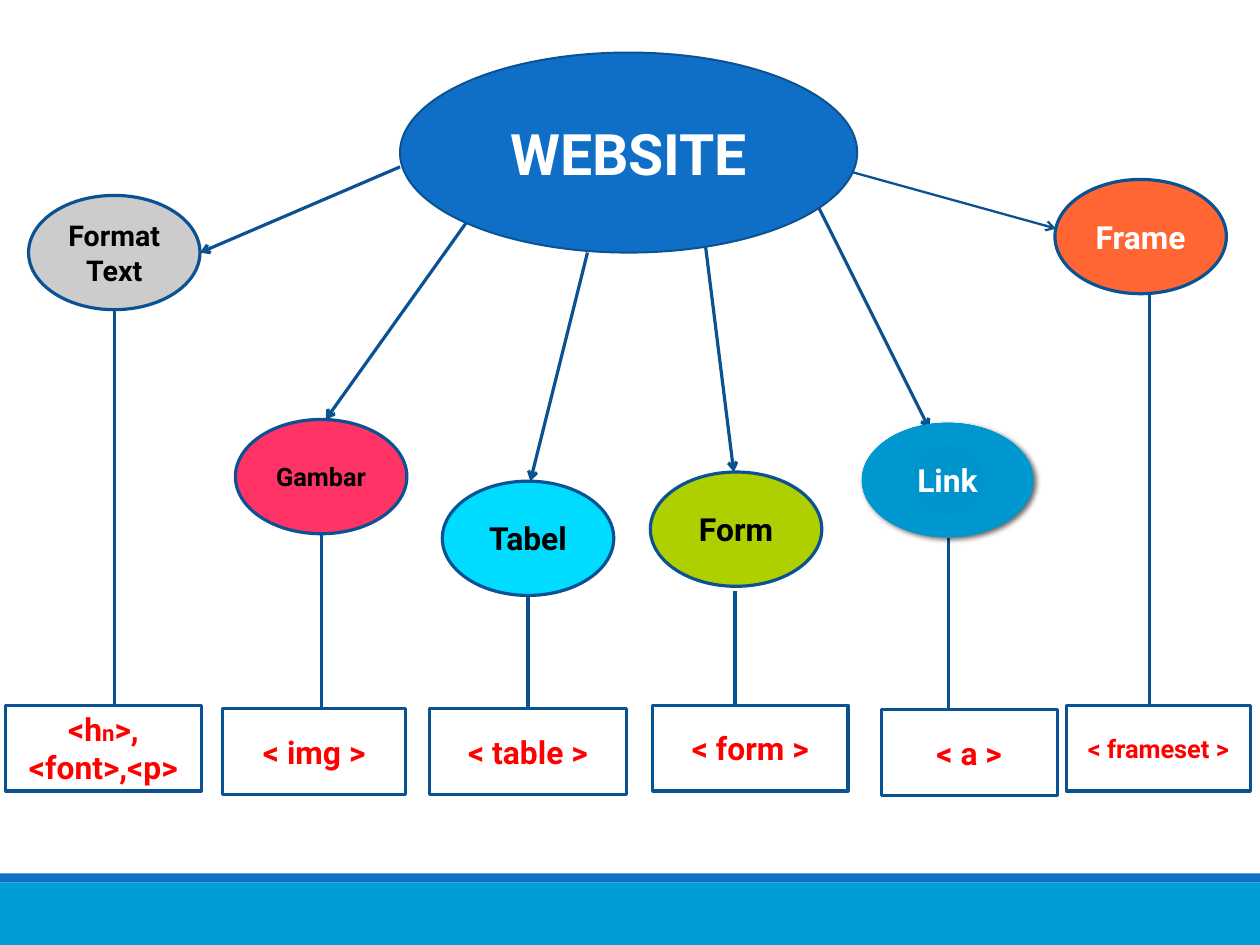
from collections import namedtuple

from lxml.etree import SubElement
from pptx import Presentation
from pptx.dml.color import RGBColor
from pptx.enum.shapes import MSO_CONNECTOR, MSO_SHAPE
from pptx.enum.text import MSO_ANCHOR, PP_ALIGN
from pptx.oxml import parse_xml
from pptx.oxml.ns import nsdecls, qn
from pptx.util import Cm, Inches, Pt

CELL = 0.25
COLS = 44.09
OVAL_W, OVAL_H, BOX_H = 6, 4, 3
FONT = "Roboto"
NAVY, BLUE, SKY = "0B5292", "0F6FC6", "009DD9"
WHITE, BLACK, RED = "FFFFFF", "000000", "FF0000"
LINK_STOPS = [(0, "0092CA"), (34, "0094CC"), (70, "0096CF"), (100, SKY)]

Branch = namedtuple(
    "Branch", "name size ink fill oval start end arrow_pt stem tag tag_size box")

BRANCHES = [
    Branch("Format\nText", 18, BLACK, "CCCCCC", (1, 6.84), (14, 5.84), (7, 8.84), 2,
           (4, 10.84), "<h|n|>,\n<font>,<p>", 20, (0.2, 24.68, 6.84)),
    Branch("Gambar", 16, BLACK, "FF3366", (8.24, 14.68), (16.4, 7.68), (11.4, 14.68), 2,
           (11.24, 18.68), "< img >", 20, (7.8, 24.8, 6.4)),
    Branch("Tabel", 20, BLACK, "00DCFF", (15.48, 16.84), (20.56, 8.84), (18.56, 16.84), 2,
           (18.48, 20.68), "< table >", 20, (15.04, 24.8, 6.88)),
    Branch("Form", 20, BLACK, "AECF00", (22.76, 16.52), (24.68, 8.52), (25.68, 16.52), 2,
           (25.72, 20.68), "< form >", 20, (22.84, 24.68, 6.84)),
    Branch("Link", 20, WHITE, None, (30.16, 14.8), (28.52, 7), (32.52, 15), 2,
           (33.2, 18.84), "< a >", 20, (30.84, 24.84, 6.16)),
    Branch("Frame", 20, WHITE, "FF6633", (36.92, 6.28), (29.16, 5.84), (36.96, 8), 1.45,
           (40.24, 9.68), "< frameset >", 16, (37.32, 24.68, 6.44)),
]


def rgb(color):
    return RGBColor.from_string(color)


def cells(*counts):
    return [Inches(n * CELL) for n in counts]


def write(sp, text, size=20, color=BLACK, small_size=14, inset=0):
    tf = sp.text_frame
    tf.word_wrap = True
    tf.vertical_anchor = MSO_ANCHOR.MIDDLE
    tf.margin_left = tf.margin_right = Inches(inset)
    tf.margin_top = tf.margin_bottom = Inches(inset / 2)
    for i, row in enumerate(text.split("\n")):
        p = tf.add_paragraph() if i else tf.paragraphs[0]
        p.alignment = PP_ALIGN.CENTER
        for j, part in enumerate(row.split("|")):
            r = p.add_run()
            r.text = part
            r.font.name = FONT
            r.font.bold = True
            r.font.size = Pt(small_size if j % 2 else size)
            r.font.color.rgb = rgb(color)


def add_block(s, kind, place, fill, line=None, width=2):
    sp = s.shapes.add_shape(kind, *cells(*place))
    sp.shadow.inherit = False
    sp.fill.solid()
    sp.fill.fore_color.rgb = rgb(fill)
    if line:
        sp.line.color.rgb = rgb(line)
        sp.line.width = Pt(width)
    else:
        sp.line.fill.background()
    return sp


def add_line(s, start, end, width=2, arrow=False):
    cx = s.shapes.add_connector(MSO_CONNECTOR.STRAIGHT, *cells(*start, *end))
    cx.line.color.rgb = rgb(NAVY)
    cx.line.width = Pt(width)
    pr = cx._element.spPr
    if arrow:
        SubElement(pr.find(qn("a:ln")), qn("a:tailEnd"), type="arrow")
    SubElement(pr, qn("a:effectLst"))
    return cx


def add_glow_fill(sp, stops):
    pr = sp._element.spPr
    gs = "".join(f'<a:gs pos="{pos * 1000}"><a:srgbClr val="{color}"/></a:gs>'
                 for pos, color in stops)
    grad = parse_xml(
        f'<a:gradFill {nsdecls("a")}><a:gsLst>{gs}</a:gsLst><a:path path="circle">'
        '<a:fillToRect l="100000" t="100000" r="100000" b="100000"/></a:path></a:gradFill>')
    pr.replace(pr.find(qn("a:solidFill")), grad)


def add_drop_shadow(sp):
    effects = sp._element.spPr.find(qn("a:effectLst"))
    effects.append(parse_xml(
        f'<a:outerShdw {nsdecls("a")} blurRad="{Pt(3.5)}" dist="{Pt(2)}" dir="2700000">'
        '<a:srgbClr val="000000"><a:alpha val="60000"/></a:srgbClr></a:outerShdw>'))


def add_oval(s, b):
    place = (*b.oval, OVAL_W, OVAL_H)
    if b.fill:
        sp = add_block(s, MSO_SHAPE.OVAL, place, b.fill, NAVY)
    else:
        sp = add_block(s, MSO_SHAPE.OVAL, place, SKY)
        add_glow_fill(sp, LINK_STOPS)
        add_drop_shadow(sp)
    write(sp, b.name, size=b.size, color=b.ink)


def add_branch(s, b):
    left, top, width = b.box
    add_line(s, b.start, b.end, b.arrow_pt, arrow=True)
    stem = add_line(s, b.stem, (b.stem[0], top))
    box = add_block(s, MSO_SHAPE.RECTANGLE, (left, top, width, BOX_H), WHITE, NAVY)
    write(box, b.tag, size=b.tag_size, color=RED, inset=0.1)
    if abs(left + width / 2 - b.stem[0]) < 0.1:
        stem.end_connect(box, 0)
    add_oval(s, b)


def main():
    prs = Presentation()
    prs.slide_width, prs.slide_height = Cm(28), Cm(21)
    s = prs.slides.add_slide(prs.slide_layouts[6])
    add_block(s, MSO_SHAPE.RECTANGLE, (0, 30.88, COLS, 2.19), SKY)
    add_block(s, MSO_SHAPE.RECTANGLE, (0, 30.56, COLS, 0.32), BLUE)
    for b in BRANCHES:
        add_branch(s, b)
    website = add_block(s, MSO_SHAPE.OVAL, (14, 1.84, 16, 7), BLUE, NAVY, 1.25)
    write(website, "WEBSITE", size=36, color=WHITE)
    prs.save("out.pptx")


if __name__ == "__main__":
    main()
